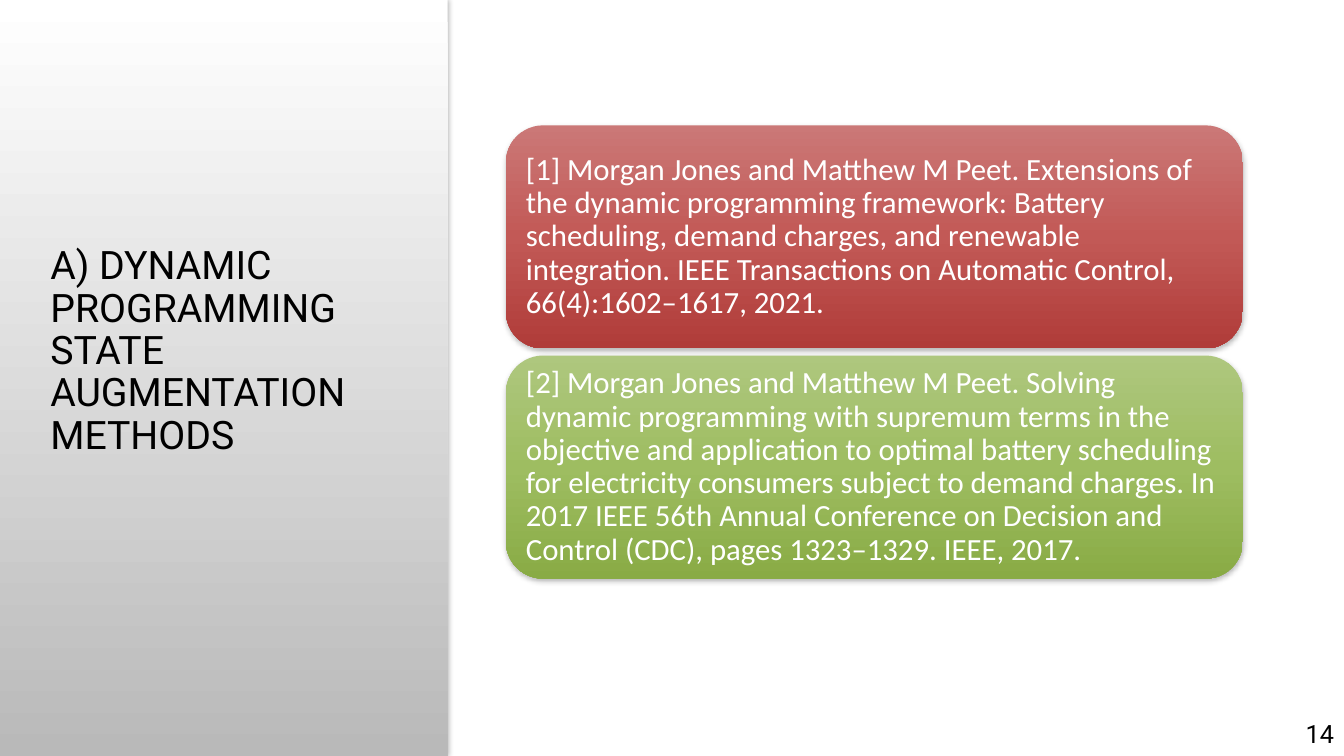
from copy import deepcopy

from pptx import Presentation
from pptx.dml.color import RGBColor
from pptx.enum.shapes import MSO_SHAPE
from pptx.enum.text import MSO_ANCHOR, PP_ALIGN
from pptx.oxml import parse_xml
from pptx.oxml.ns import nsdecls
from pptx.util import Cm, Pt

COLOURS = {
    "white": "FFFFFF",
    "black": "000000",
    "grey": ("FFFFFF", "B9B9B9"),
    "red": ("CB7877", "C25956", "B03C39"),
    "green": ("AEC77E", "9EBD61", "89AB45"),
}
WIDTH, HEIGHT, SIDEBAR = 33.87, 19.05, 11.28
CARD_TOP, CARD_HEIGHT, CARD_PITCH = 3.16, 5.62, 5.8
TITLE = "A) DYNAMIC PROGRAMMING STATE AUGMENTATION METHODS"
REFERENCES = (
    ("red", "[1] Morgan Jones and Matthew M Peet. Extensions of the dynamic programming "
            "framework: Battery scheduling, demand charges, and renewable integration. "
            "IEEE Transactions on Automatic Control, 66(4):1602–1617, 2021."),
    ("green", "[2] Morgan Jones and Matthew M Peet. Solving dynamic programming with supremum "
              "terms in the objective and application to optimal battery scheduling for "
              "electricity consumers subject to demand charges. In 2017 IEEE 56th Annual "
              "Conference on Decision and Control (CDC), pages 1323–1329. IEEE, 2017."),
)


def apply_format(target, values):
    for name, value in values.items():
        setattr(target, name, value)


def fill_gradient(fill, element, colours):
    fill.gradient()
    fill.gradient_angle = 270
    stop_list = element.xpath(".//a:gsLst")[0]
    while len(stop_list) < len(colours):
        stop_list.append(deepcopy(stop_list[0]))
    for index, (stop, colour) in enumerate(zip(fill.gradient_stops, colours)):
        stop.position = index / (len(colours) - 1)
        stop.color.rgb = RGBColor.from_string(colour)


def add_shadow(shape, opacity, distance, angle):
    effects = shape.element.spPr.xpath("a:effectLst")[0]
    effects.append(parse_xml(
        f'<a:outerShdw {nsdecls("a")} blurRad="{Pt(4)}" dist="{Pt(distance)}" '
        f'dir="{angle * 60000}" rotWithShape="0"><a:srgbClr val="{COLOURS["black"]}">'
        f'<a:alpha val="{opacity * 1000}"/></a:srgbClr></a:outerShdw>'))


def add_panel(page, kind, place, colour):
    shape = page.shapes.add_shape(kind, *map(Cm, place))
    shape.line.fill.background()
    shape.shadow.inherit = False
    if isinstance(COLOURS[colour], tuple):
        fill_gradient(shape.fill, shape.element, COLOURS[colour])
    else:
        shape.fill.solid()
        shape.fill.fore_color.rgb = RGBColor.from_string(COLOURS[colour])
    return shape


def write_text(box, text, colour, font, paragraph):
    frame = box.text_frame
    apply_format(frame, {"word_wrap": True, "vertical_anchor": MSO_ANCHOR.MIDDLE})
    para = frame.paragraphs[0]
    apply_format(para, paragraph)
    span = para.add_run()
    span.text = text
    apply_format(span.font, font)
    span.font.color.rgb = RGBColor.from_string(COLOURS[colour])


def add_label(page, place, text, size, paragraph):
    box = page.shapes.add_textbox(*map(Cm, place))
    write_text(box, text, "black", {"name": "Roboto", "size": Pt(size)}, paragraph)


def add_card(page, index, colour, text):
    place = (12.75, CARD_TOP + index * CARD_PITCH, 18.57, CARD_HEIGHT)
    card = add_panel(page, MSO_SHAPE.ROUNDED_RECTANGLE, place, colour)
    add_shadow(card, 28, 2, 90)
    sides = ("left", "top", "right", "bottom")
    apply_format(card.text_frame, {f"margin_{side}": Cm(0.23) for side in sides})
    write_text(card, text, "white", {"name": "Calibri", "size": Pt(22)},
               {"alignment": PP_ALIGN.LEFT, "line_spacing": 0.9})


def main():
    """Build the slide of references on state augmentation methods."""
    deck = Presentation()
    apply_format(deck, {"slide_width": Cm(WIDTH), "slide_height": Cm(HEIGHT)})
    page = deck.slides.add_slide(deck.slide_layouts[6])
    fill_gradient(page.background.fill, page.element, COLOURS["grey"])
    add_panel(page, MSO_SHAPE.RECTANGLE, (SIDEBAR, 0, WIDTH - SIDEBAR, HEIGHT), "white")
    sidebar = add_panel(page, MSO_SHAPE.RECTANGLE, (0, 0, SIDEBAR, HEIGHT), "grey")
    add_shadow(sidebar, 30, 1, 0)
    add_label(page, (1.02, 3.76, 9.68, 10.21), TITLE, 28, {"line_spacing": 0.9})
    for index, (colour, text) in enumerate(REFERENCES):
        add_card(page, index, colour, text)
    add_label(page, (31.75, 17.96, 2.12, 1.02), "14", 18, {"alignment": PP_ALIGN.RIGHT})
    deck.save("out.pptx")


if __name__ == "__main__":
    main()
